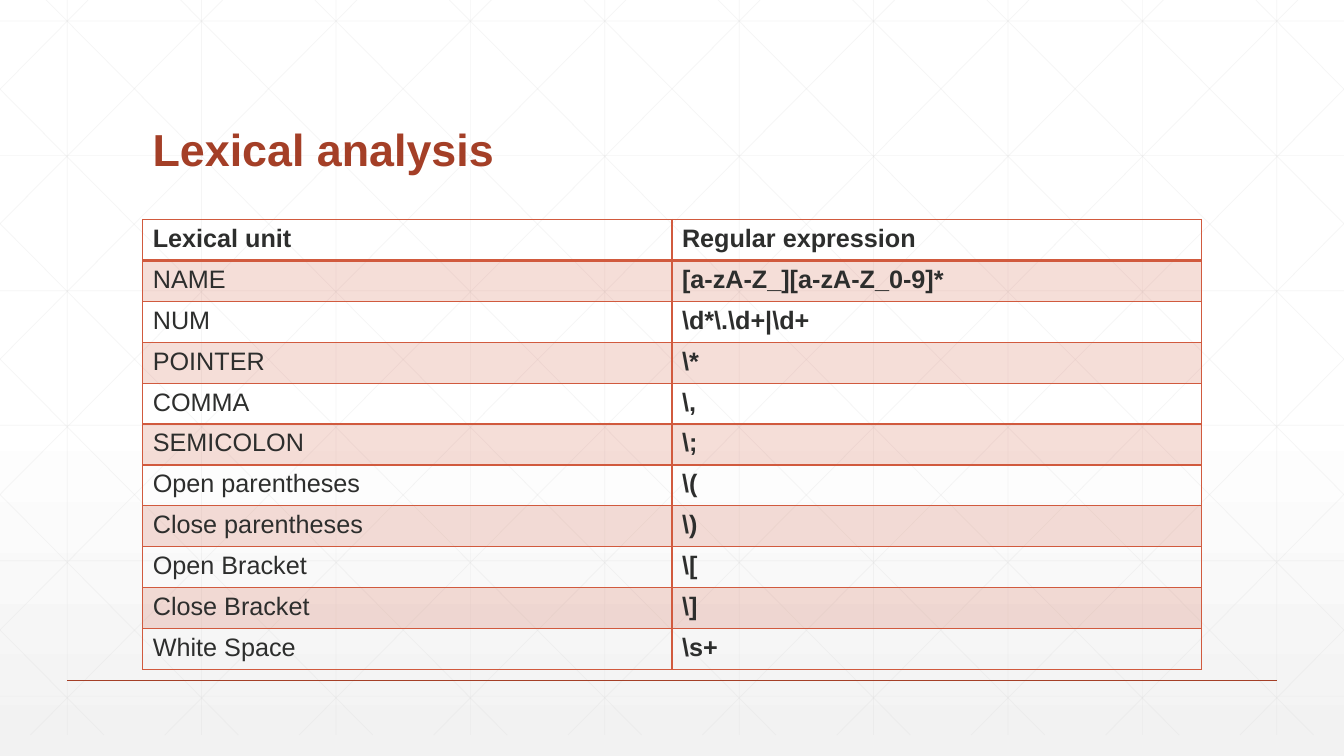
import copy
from dataclasses import dataclass

import pptx
import pptx.dml.color
import pptx.enum.shapes
import pptx.enum.text
import pptx.oxml
import pptx.oxml.ns
import pptx.util

PX = 9525  # EMU in one px
SLIDE_W, SLIDE_H = 1280, 720
GRID_BOTTOM = 700
GRID_STEP = 128
DIAGONAL_RUN = 0.993  # px across for each px down


@dataclass(frozen=True)
class Theme:
    font: str = "Arial"
    title_size: int = 32
    cell_size: int = 18
    accent: str = "A43F27"
    border: str = "D15A3E"
    text: str = "2D2E2D"
    grid: str = "D9D9D9"
    bg_top: str = "FFFFFF"
    bg_bottom: str = "F2F2F2"


THEME = Theme()

ROWS = [
    ("Lexical unit", "Regular expression"),
    ("NAME", "[a-zA-Z_][a-zA-Z_0-9]*"),
    ("NUM", r"\d*\.\d+|\d+"),
    ("POINTER", r"\*"),
    ("COMMA", r"\,"),
    ("SEMICOLON", r"\;"),
    ("Open parentheses", r"\("),
    ("Close parentheses", r"\)"),
    ("Open Bracket", r"\["),
    ("Close Bracket", r"\]"),
    ("White Space", r"\s+"),
]


def px(n):
    return pptx.util.Emu(round(n) * PX)


def rgb(color):
    return pptx.dml.color.RGBColor.from_string(color)


def set_alpha(element, percent):
    """Make the solid colour inside element partly transparent."""
    color = element.find(".//" + pptx.oxml.ns.qn("a:srgbClr"))
    alpha = color.makeelement(pptx.oxml.ns.qn("a:alpha"), {"val": str(percent * 1000)})
    color.append(alpha)


def set_background(s):
    fill = s.background.fill
    fill.gradient()
    fill.gradient_angle = 270
    stops = s.element.find(".//" + pptx.oxml.ns.qn("a:gsLst"))
    stops.insert(0, copy.deepcopy(stops[0]))
    colors = (THEME.bg_top, THEME.bg_top, THEME.bg_bottom)
    for stop, position, color in zip(fill.gradient_stops, (0, 0.53, 1), colors):
        stop.position = position
        stop.color.rgb = rgb(color)


def add_line(s, x1, y1, x2, y2, color, width, alpha=None):
    line = s.shapes.add_connector(
        pptx.enum.shapes.MSO_CONNECTOR.STRAIGHT, px(x1), px(y1), px(x2), px(y2))
    line.line.color.rgb = rgb(color)
    line.line.width = pptx.util.Pt(width)
    sp_pr = line.element.spPr
    sp_pr.append(sp_pr.makeelement(pptx.oxml.ns.qn("a:effectLst"), {}))
    if alpha is not None:
        set_alpha(sp_pr, alpha)


def add_grid(s):
    """Draw the faint lattice: verticals, horizontals and mirrored diagonals."""
    lines = [(x, 0, x, GRID_BOTTOM) for x in range(64, SLIDE_W, GRID_STEP)]
    lines += [(0, y, SLIDE_W, y) for y in (20 + i * 643 // 5 for i in range(6))]
    for i in range(-5, 10):
        start = 44 + i * GRID_STEP
        top = max(0, -start / DIAGONAL_RUN)
        bottom = min(GRID_BOTTOM, (SLIDE_W - start) / DIAGONAL_RUN)
        x1, x2 = (start + y * DIAGONAL_RUN for y in (top, bottom))
        lines.append((x1, top, x2, bottom))
        lines.append((SLIDE_W - x1, top, SLIDE_W - x2, bottom))
    for ends in lines:
        add_line(s, *ends, THEME.grid, 0.5, alpha=25)


def add_run(p, text, size, color, bold):
    r = p.add_run()
    r.text = text
    r.font.name = THEME.font
    r.font.size = pptx.util.Pt(size)
    r.font.bold = bold
    r.font.color.rgb = rgb(color)


def add_title(s, text, x, y, w, h):
    tf = s.shapes.add_textbox(px(x), px(y), px(w), px(h)).text_frame
    tf.word_wrap = True
    tf.vertical_anchor = pptx.enum.text.MSO_ANCHOR.BOTTOM
    p = tf.paragraphs[0]
    p.line_spacing = 0.9
    add_run(p, text, THEME.title_size, THEME.accent, True)


def add_border(cell, side, width):
    tc_pr = cell._tc.get_or_add_tcPr()
    tc_pr.append(pptx.oxml.parse_xml(
        f'<a:{side} {pptx.oxml.ns.nsdecls("a")} w="{pptx.util.Pt(width)}">'
        f'<a:solidFill><a:srgbClr val="{THEME.border}"/></a:solidFill>'
        f'<a:prstDash val="solid"/></a:{side}>'))


def style_cell(cell, row):
    """Frame the cell, with a heavy rule under the header and tinted odd rows."""
    widths = {"lnL": 1, "lnR": 1, "lnT": 2 if row == 1 else 1, "lnB": 2 if row == 0 else 1}
    for side, width in widths.items():
        add_border(cell, side, width)
    if row % 2:
        cell.fill.solid()
        cell.fill.fore_color.rgb = rgb(THEME.border)
        set_alpha(cell._tc.tcPr.find(pptx.oxml.ns.qn("a:solidFill")), 20)
    else:
        cell.fill.background()


def add_lexical_table(s, rows, x, y, w, row_h):
    frame = s.shapes.add_table(len(rows), 2, px(x), px(y), px(w), px(row_h * len(rows)))
    table = frame.table
    table.first_row = table.horz_banding = False
    for i, texts in enumerate(rows):
        table.rows[i].height = px(row_h)
        for j, text in enumerate(texts):
            cell = table.cell(i, j)
            bold = i == 0 or j == 1
            add_run(cell.text_frame.paragraphs[0], text, THEME.cell_size, THEME.text, bold)
            style_cell(cell, i)


def main():
    prs = pptx.Presentation()
    prs.slide_width, prs.slide_height = px(SLIDE_W), px(SLIDE_H)
    s = prs.slides.add_slide(prs.slide_layouts[6])
    set_background(s)
    add_grid(s)
    add_line(s, 64, 648, 1216, 648, THEME.accent, 1)
    add_title(s, "Lexical analysis", 136, 53, 1008, 120)
    add_lexical_table(s, ROWS, 136, 209, 1008, 39)
    prs.save("out.pptx")


if __name__ == "__main__":
    main()
